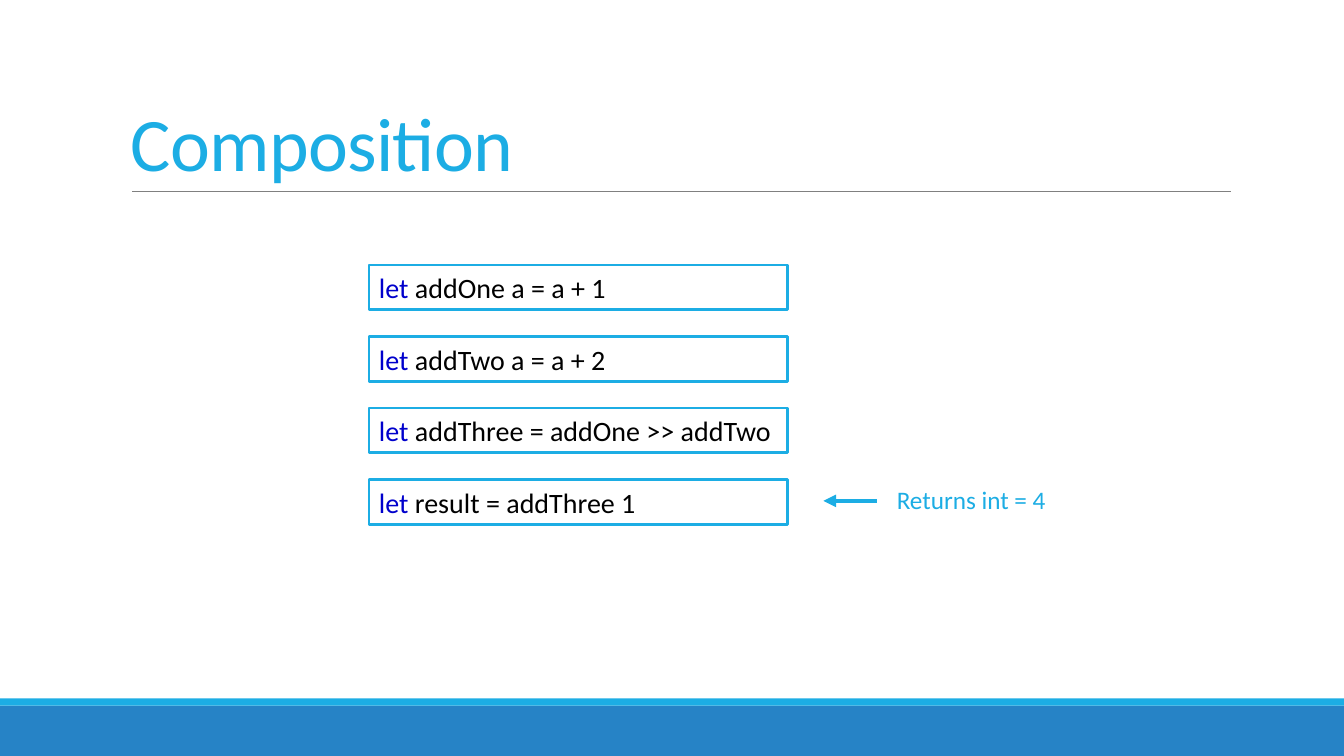
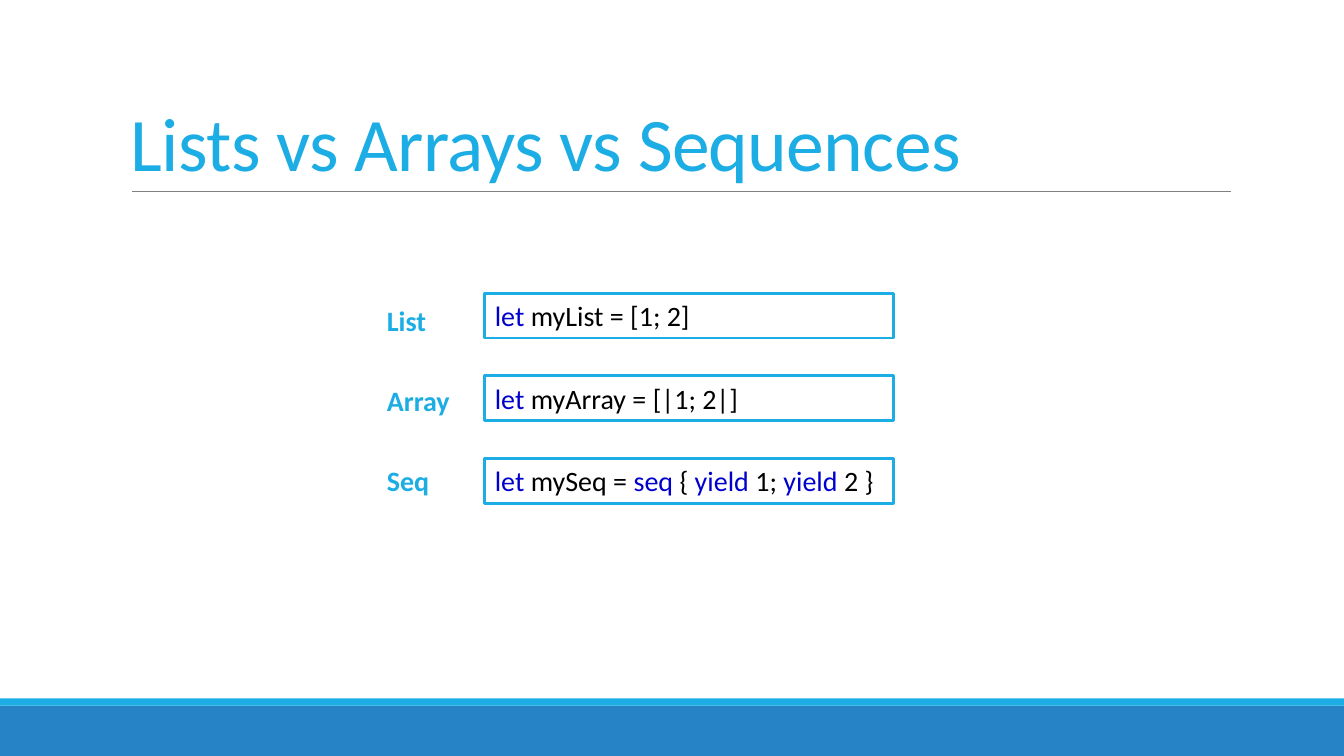
from itertools import cycle

from lxml.etree import SubElement
from pptx import Presentation
from pptx.dml.color import RGBColor
from pptx.enum.shapes import MSO_CONNECTOR, MSO_SHAPE
from pptx.enum.text import MSO_ANCHOR, PP_ALIGN
from pptx.oxml.ns import qn
from pptx.util import Cm, Pt

PAGE_WIDTH, PAGE_HEIGHT = 33.87, 19.05
FONT = "Calibri"
ACCENT, BAND, RULE = "1CADE4", "2683C6", "808080"
KEYWORD, CODE, PAPER = "0000CC", "000000", "FFFFFF"
CODE_HEIGHT = 1.13


def paint(color_format, color):
    """Set a colour format from a hex string."""
    color_format.rgb = RGBColor.from_string(color)


def add_box(page, left, top, width, height, fill, outline=None):
    """Add a flat rectangle, outlined only when a line colour is given."""
    box = page.shapes.add_shape(
        MSO_SHAPE.RECTANGLE, Cm(left), Cm(top), Cm(width), Cm(height))
    box.shadow.inherit = False
    box.fill.solid()
    paint(box.fill.fore_color, fill)
    if outline:
        paint(box.line.color, outline)
        box.line.width = Pt(2)
    else:
        box.line.fill.background()
    return box


def add_line(page, start, end, color, weight, arrow=False):
    """Add a straight line, with an optional arrowhead at its end."""
    line = page.shapes.add_connector(
        MSO_CONNECTOR.STRAIGHT, *(Cm(value) for value in (*start, *end)))
    paint(line.line.color, color)
    line.line.width = Pt(weight)
    if arrow:
        SubElement(line.line._get_or_add_ln(), qn("a:tailEnd"), type="triangle")
    SubElement(line._element.spPr, qn("a:effectLst"))


def add_text(page, left, top, width, height, text, size, bold=False):
    """Add a one-paragraph text box in the accent colour."""
    box = page.shapes.add_textbox(Cm(left), Cm(top), Cm(width), Cm(height))
    box.text_frame.word_wrap = True
    para = box.text_frame.paragraphs[0]
    para.text = text
    para.font.name, para.font.size, para.font.bold = FONT, Pt(size), bold
    paint(para.font.color, ACCENT)
    return box


def add_title(page, left, top, width, height, text):
    """Add the slide title, standing on the bottom of its box, and its rule."""
    frame = add_text(page, left, top, width, height, text, 54).text_frame
    frame.vertical_anchor = MSO_ANCHOR.BOTTOM
    para = frame.paragraphs[0]
    para.line_spacing = 0.85
    para.runs[0]._r.get_or_add_rPr().set("spc", "-50")
    bottom = top + height
    add_line(page, (left + 0.28, bottom), (left + width + 0.02, bottom), RULE, 0.5)


def add_page(deck, title):
    """Add a blank slide with the shared footer bands and title."""
    page = deck.slides.add_slide(deck.slide_layouts[6])
    add_box(page, 0, 17.78, PAGE_WIDTH, 1.27, BAND)
    add_box(page, 0, 17.6, PAGE_WIDTH, 0.18, ACCENT)
    add_title(page, 3.05, 0.79, 27.94, 4.04, title)
    return page


def add_code_column(page, left, top, width, pitch, lines):
    """Stack code boxes whose spans alternate between keyword and plain code."""
    for row, spans in enumerate(lines):
        box = add_box(page, left, top + row * pitch, width, CODE_HEIGHT, PAPER, ACCENT)
        para = box.text_frame.paragraphs[0]
        para.alignment = PP_ALIGN.LEFT
        para.font.name, para.font.size = FONT, Pt(20)
        for text, color in zip(spans, cycle((KEYWORD, CODE))):
            span = para.add_run()
            span.text = text
            paint(span.font.color, color)


def add_label_column(page, left, top, width, pitch, labels):
    """Stack bold labels at an equal pitch."""
    for row, label in enumerate(labels):
        add_text(page, left, top + row * pitch, width, CODE_HEIGHT, label, 20, True)


def add_result_note(page, left, top, text):
    """Add a note with an arrow pointing left from it."""
    middle = top + 0.55
    add_line(page, (left + 1.35, middle), (left, middle), ACCENT, 3, arrow=True)
    add_text(page, left + 1.6, top, 4.4, 1.02, text, 18)


def build_composition(deck):
    """Build the slide on function composition."""
    page = add_page(deck, "Composition")
    add_code_column(page, 9.3, 6.68, 10.54, 1.8, [
        ("let ", "addOne a = a + 1"),
        ("let ", "addTwo a = a + 2"),
        ("let ", "addThree = addOne >> addTwo"),
        ("let ", "result = addThree 1"),
    ])
    add_result_note(page, 20.75, 12.07, "Returns int = 4")


def build_collections(deck):
    """Build the slide comparing the collection types."""
    page = add_page(deck, "Lists vs Arrays vs Sequences")
    add_code_column(page, 12.22, 7.39, 10.29, 2.08, [
        ("let ", "myList = [1; 2]"),
        ("let ", "myArray = [|1; 2|]"),
        ("let ", "mySeq = ", "seq", " {", " yield ", "1; ", "yield ", "2 }"),
    ])
    add_label_column(page, 9.5, 7.52, 2.4, 2.02, ("List", "Array", "Seq"))


def main():
    """Build and save the deck."""
    deck = Presentation()
    deck.slide_width, deck.slide_height = Cm(PAGE_WIDTH), Cm(PAGE_HEIGHT)
    build_composition(deck)
    build_collections(deck)
    deck.save("out.pptx")


if __name__ == "__main__":
    main()
